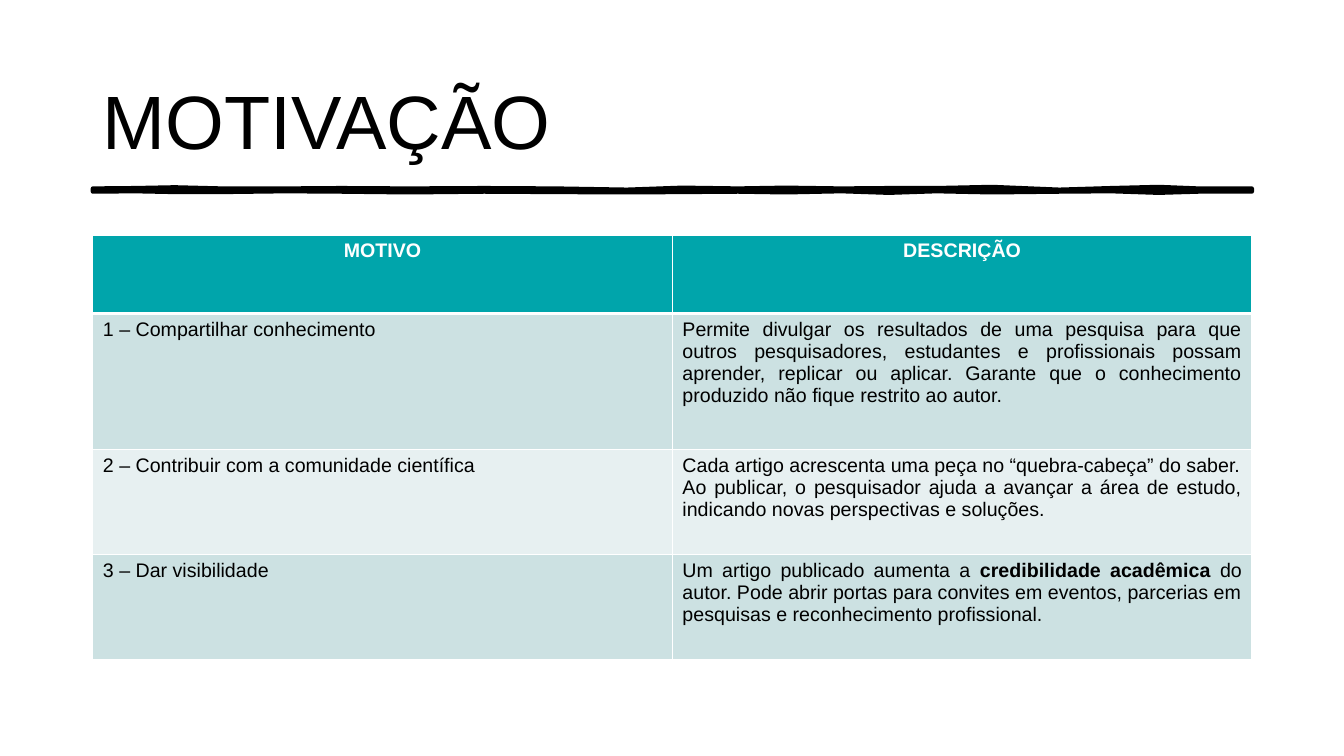
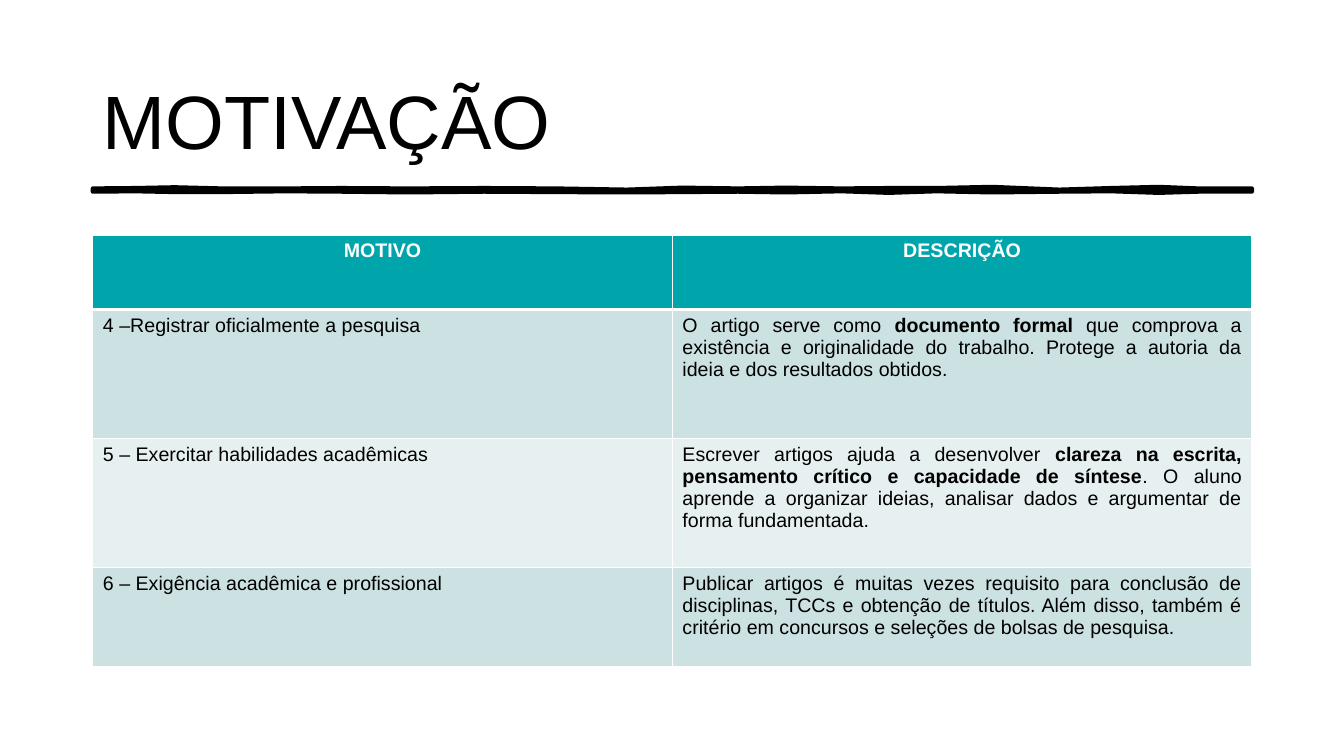
"""Build two slides of motives for publishing, each a title, a hand-drawn rule and a table."""
from dataclasses import dataclass

from lxml import etree
from pptx import Presentation
from pptx import util as u
from pptx.dml.color import RGBColor
from pptx.enum import text
from pptx.oxml.ns import qn


@dataclass(frozen=True)
class Theme:
    font: str = "Arial"
    ink: str = "000000"
    paper: str = "FFFFFF"
    header: str = "00A5AB"
    bands: tuple = ("CCE1E2", "E7F0F1")
    title_size: int = 54
    table_size: int = 14
    rule_width: int = 3


T = Theme()
LEFT, WIDTH = u.Cm(2.34), u.Cm(29.21)
TITLE = "MOTIVAÇÃO"
HEADINGS = ("MOTIVO", "DESCRIÇÃO")

# x, upper edge, lower edge
BRUSH = [
    (2.34, 4.75, 4.83), (3.4, 4.74, 4.82), (4.4, 4.72, 4.84), (5.6, 4.75, 4.84),
    (7.2, 4.75, 4.82), (8.6, 4.74, 4.83), (10.3, 4.75, 4.85), (12.2, 4.74, 4.83),
    (14, 4.75, 4.84), (15.8, 4.78, 4.85), (17.2, 4.73, 4.84), (18.6, 4.75, 4.83),
    (19.8, 4.73, 4.85), (21.2, 4.75, 4.82), (22.4, 4.74, 4.86), (23.6, 4.74, 4.82),
    (25, 4.71, 4.85), (26.7, 4.78, 4.83), (28, 4.74, 4.82), (29.2, 4.71, 4.86),
    (30.2, 4.75, 4.83), (31.55, 4.75, 4.83),
]

SLIDES = [
    ((1.98, 3.43, 2.64, 2.64), [
        ("1 – Compartilhar conhecimento", [[
            ("Permite divulgar os resultados de uma pesquisa para que outros "
             "pesquisadores, estudantes e profissionais possam aprender, replicar ou "
             "aplicar. Garante que o conhecimento produzido não fique restrito ao autor.",
             False)]]),
        ("2 – Contribuir com a comunidade científica", [
            [("Cada artigo acrescenta uma peça no “quebra-cabeça” do saber.", False)],
            [("Ao publicar, o pesquisador ajuda a avançar a área de estudo, "
              "indicando novas perspectivas e soluções.", False)]]),
        ("3 – Dar visibilidade", [[
            ("Um artigo publicado aumenta a ", False),
            ("credibilidade acadêmica", True),
            (" do autor. Pode abrir portas para convites em eventos, parcerias em "
             "pesquisas e reconhecimento profissional.", False)]]),
    ]),
    ((1.88, 3.25, 3.25, 2.51), [
        ("4 –Registrar oficialmente a pesquisa", [[
            ("O artigo serve como ", False),
            ("documento formal", True),
            (" que comprova a existência e originalidade do trabalho. Protege a "
             "autoria da ideia e dos resultados obtidos.", False)]]),
        ("5 – Exercitar habilidades acadêmicas", [[
            ("Escrever artigos ajuda a desenvolver ", False),
            ("clareza na escrita, pensamento crítico e capacidade de síntese", True),
            (". O aluno aprende a organizar ideias, analisar dados e argumentar de "
             "forma fundamentada.", False)]]),
        ("6 – Exigência acadêmica e profissional", [[
            ("Publicar artigos é muitas vezes requisito para conclusão de disciplinas, "
             "TCCs e obtenção de títulos. Além disso, também é critério em concursos e "
             "seleções de bolsas de pesquisa.", False)]]),
    ]),
]


def write(tf, paragraphs, size, color, align):
    for i, runs in enumerate(paragraphs):
        p = tf.paragraphs[0] if i == 0 else tf.add_paragraph()
        p.alignment = align
        for words, bold in runs:
            r = p.add_run()
            r.text = words
            r.font.name = T.font
            r.font.size = u.Pt(size)
            r.font.bold = bold
            r.font.color.rgb = RGBColor.from_string(color)


def style_cell(cell, fill, widths):
    tcPr = cell._tc.get_or_add_tcPr()
    for side, width in zip("LRTB", widths):
        ln = etree.SubElement(tcPr, qn(f"a:ln{side}"), w=str(u.Pt(width)))
        solid = etree.SubElement(ln, qn("a:solidFill"))
        etree.SubElement(solid, qn("a:srgbClr"), val=T.paper)
    cell.fill.solid()
    cell.fill.fore_color.rgb = RGBColor.from_string(fill)


prs = Presentation()
prs.slide_width, prs.slide_height = u.Cm(33.87), u.Cm(19.05)
AL = text.PP_ALIGN

for heights, motives in SLIDES:
    s = prs.slides.add_slide(prs.slide_layouts[6])

    upper = [(u.Cm(x), u.Cm(top)) for x, top, _ in BRUSH]
    lower = [(u.Cm(x), u.Cm(bottom)) for x, _, bottom in reversed(BRUSH)]
    fb = s.shapes.build_freeform(*upper[0])
    fb.add_line_segments(upper[1:] + lower, close=True)
    sp = fb.convert_to_shape()
    sp.shadow.inherit = False
    sp.fill.solid()
    sp.fill.fore_color.rgb = RGBColor.from_string(T.ink)
    sp.line.color.rgb = RGBColor.from_string(T.ink)
    sp.line.width = u.Pt(T.rule_width)

    tf = s.shapes.add_textbox(LEFT, u.Cm(1.02), WIDTH, u.Cm(3.68)).text_frame
    tf.word_wrap = True
    tf.vertical_anchor = text.MSO_ANCHOR.MIDDLE
    tf.margin_top = u.Cm(0.43)
    write(tf, [[(TITLE, False)]], T.title_size, T.ink, AL.LEFT)

    table = s.shapes.add_table(len(heights), len(HEADINGS), LEFT, u.Cm(5.92),
                               WIDTH, u.Cm(sum(heights))).table
    for row, height in zip(table.rows, heights):
        row.height = u.Cm(height)

    for col, heading in enumerate(HEADINGS):
        cell = table.cell(0, col)
        style_cell(cell, T.header, (1, 1, 1, 3))
        write(cell.text_frame, [[(heading, True)]], T.table_size, T.paper, AL.CENTER)

    for i, (motive, description) in enumerate(motives, 1):
        contents = (([[(motive, False)]], AL.LEFT), (description, AL.JUSTIFY))
        for col, (paragraphs, align) in enumerate(contents):
            cell = table.cell(i, col)
            style_cell(cell, T.bands[(i - 1) % 2], (1, 1, 3 if i == 1 else 1, 1))
            write(cell.text_frame, paragraphs, T.table_size, T.ink, align)

prs.save("out.pptx")
